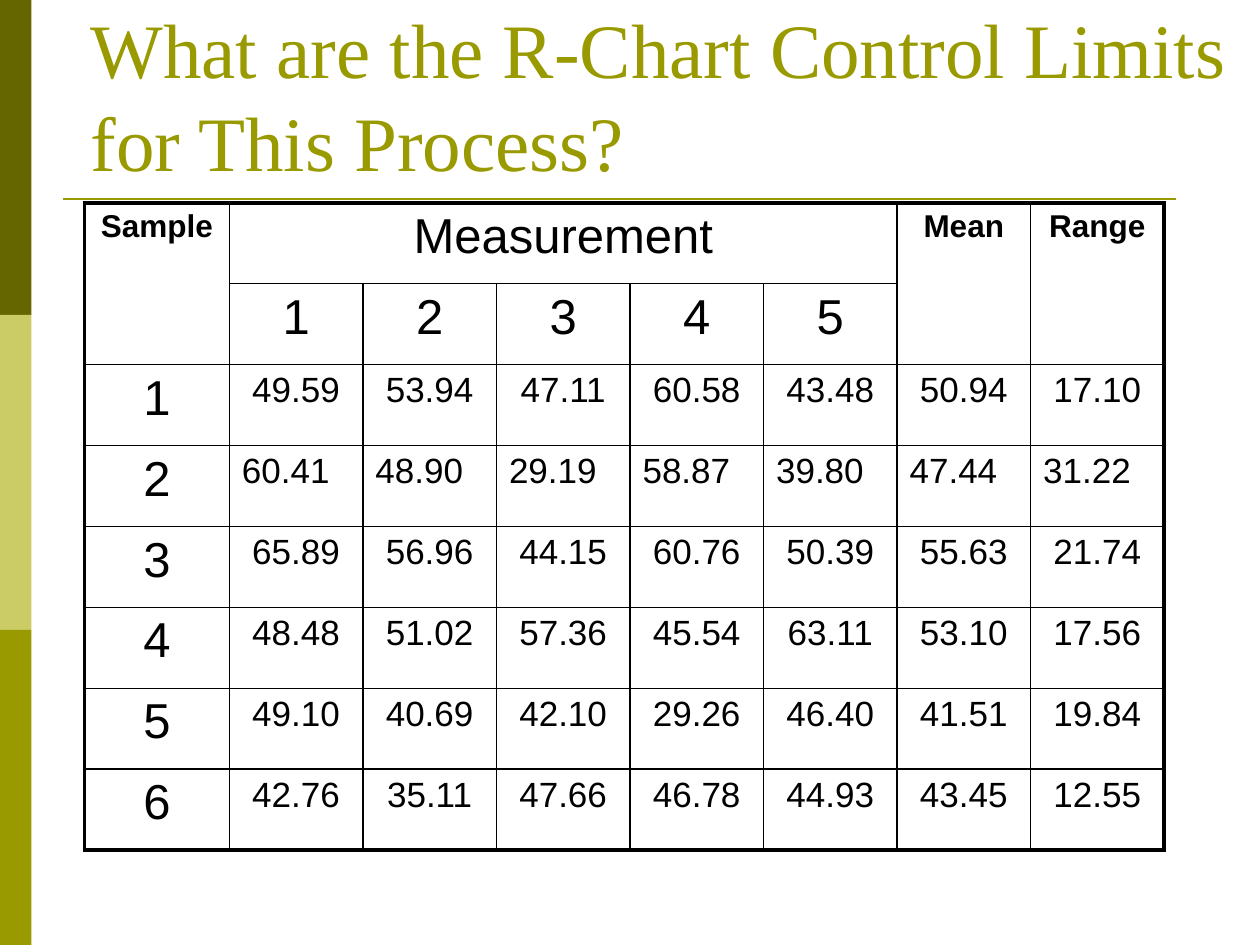
from lxml import etree
from pptx import Presentation
from pptx.dml.color import RGBColor
from pptx.enum.shapes import MSO_CONNECTOR, MSO_SHAPE
from pptx.enum.text import MSO_ANCHOR, MSO_AUTO_SIZE, PP_ALIGN
from pptx.oxml.ns import qn
from pptx.util import Inches, Pt

RECTANGLE, STRAIGHT = MSO_SHAPE.RECTANGLE, MSO_CONNECTOR.STRAIGHT
LEFT, CENTER = PP_ALIGN.LEFT, PP_ALIGN.CENTER
BOTTOM, TOP = MSO_ANCHOR.BOTTOM, MSO_ANCHOR.TOP
NO_AUTOFIT = MSO_AUTO_SIZE.NONE
TITLE_ONLY = 5
OLIVE, BLACK = "999900", "000000"
THIN, THICK = 1, 2.25


def color(value):
    return RGBColor.from_string(value)


def write(frame, text, alignment, **font_format):
    """Fill a text frame with one formatted paragraph."""
    frame.text = text
    paragraph = frame.paragraphs[0]
    paragraph.alignment = alignment
    paragraph.space_before = Pt(0)
    paragraph.font.color.rgb = color(font_format.pop("color"))
    for name, value in font_format.items():
        setattr(paragraph.font, name, value)


presentation = Presentation()
presentation.slide_width, presentation.slide_height = Inches(10), Inches(7.5)
slide = presentation.slides.add_slide(presentation.slide_layouts[TITLE_ONLY])

# Side band: three equal blocks down the left edge
block_height = presentation.slide_height // 3
for index, fill in enumerate(["666600", "CCCC66", OLIVE]):
    block = slide.shapes.add_shape(
        RECTANGLE, 0, index * block_height, Inches(0.25), block_height)
    block.shadow.inherit = False
    block.fill.solid()
    block.fill.fore_color.rgb = color(fill)
    block.line.fill.background()

rule = slide.shapes.add_connector(
    STRAIGHT, Inches(0.5), Inches(1.58), Inches(9.33), Inches(1.58))
rule.line.color.rgb = color(OLIVE)
rule.line.width = Pt(1.5)
etree.SubElement(rule._element.spPr, qn("a:effectLst"))

title = slide.shapes.title
title.left, title.top = Inches(0.62), Inches(0.65)
title.width, title.height = Inches(9.38), Inches(0.88)
write(title.text_frame, "What are the R-Chart Control Limits for This Process?",
      LEFT, name="Times New Roman", size=Pt(44), color=OLIVE)
title.text_frame.word_wrap = True
title.text_frame.auto_size = NO_AUTOFIT
title.text_frame.vertical_anchor = BOTTOM

rows = [
    ["Sample", "Measurement", "", "", "", "", "Mean", "Range"],
    ["", "1", "2", "3", "4", "5", "", ""],
    ["1", "49.59", "53.94", "47.11", "60.58", "43.48", "50.94", "17.10"],
    ["2", "60.41", "48.90", "29.19", "58.87", "39.80", "47.44", "31.22"],
    ["3", "65.89", "56.96", "44.15", "60.76", "50.39", "55.63", "21.74"],
    ["4", "48.48", "51.02", "57.36", "45.54", "63.11", "53.10", "17.56"],
    ["5", "49.10", "40.69", "42.10", "29.26", "46.40", "41.51", "19.84"],
    ["6", "42.76", "35.11", "47.66", "46.78", "44.93", "43.45", "12.55"],
]
last_row, last_column = len(rows) - 1, len(rows[0]) - 1
left_aligned_row = 3

table = slide.shapes.add_table(
    len(rows), len(rows[0]), Inches(0.67), Inches(1.61),
    Inches(8.58), Inches(5.14)).table
table.first_row = table.horz_banding = False
for index, column in enumerate(table.columns):
    column.width = Inches(1.06 if index else 1.15)
for row in table.rows:
    row.height = Inches(5.14 / len(rows))

for row, values in enumerate(rows):
    for column, text in enumerate(values):
        cell = table.cell(row, column)
        cell.vertical_anchor = TOP
        if text:
            bold = text in ("Sample", "Mean", "Range")
            is_value = row > 1 and column > 0
            size = 18 if bold else 20 if is_value else 28
            alignment = LEFT if is_value and row == left_aligned_row else CENTER
            write(cell.text_frame, text, alignment,
                  name="Arial", size=Pt(size), bold=bold, color=BLACK)
        outer_edges = {"a:lnL": column == 0, "a:lnR": column == last_column,
                       "a:lnT": row == 0, "a:lnB": row == last_row}
        properties = cell._tc.get_or_add_tcPr()
        for tag, is_outer in outer_edges.items():
            width = Pt(THICK if is_outer else THIN)
            border = etree.SubElement(properties, qn(tag), w=str(width))
            fill = etree.SubElement(border, qn("a:solidFill"))
            etree.SubElement(fill, qn("a:srgbClr"), val=BLACK)
        cell.fill.background()

table.cell(0, 1).merge(table.cell(0, 5))
for column in (0, 6, 7):
    table.cell(0, column).merge(table.cell(1, column))

presentation.save("out.pptx")
